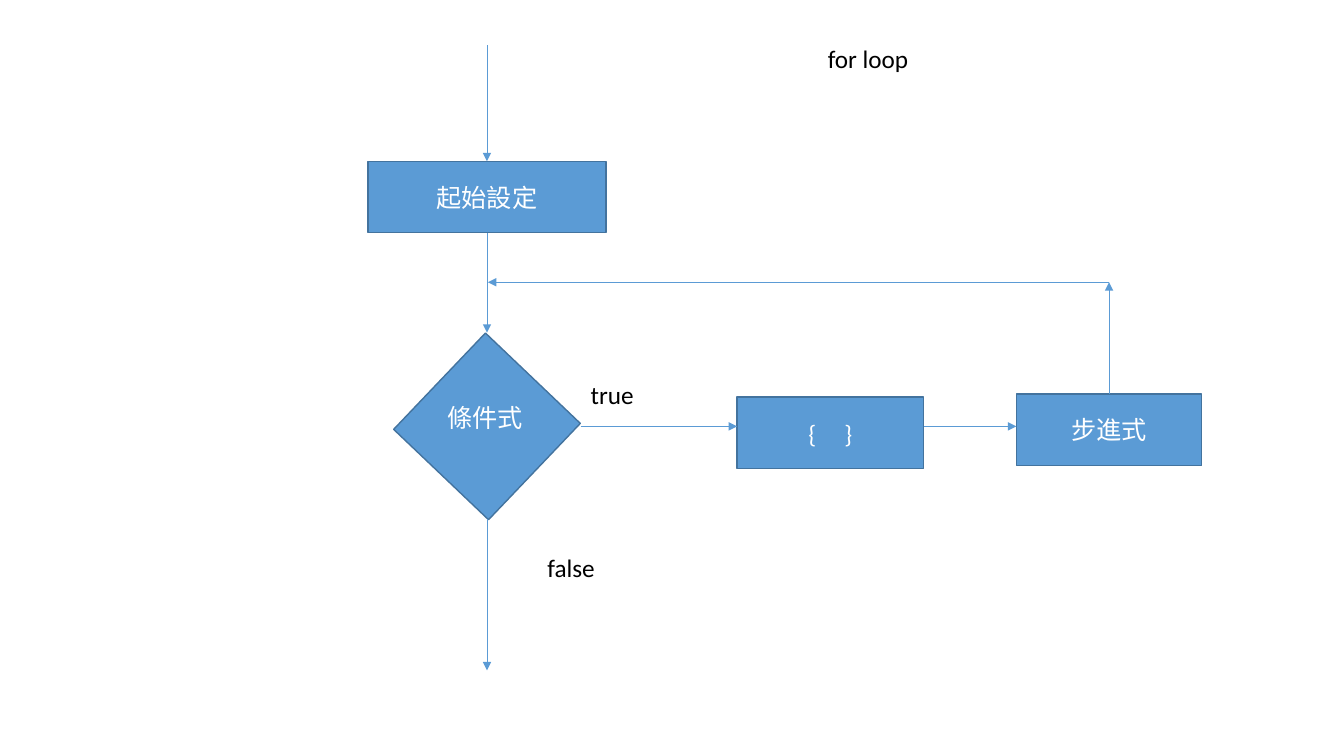
"""Builds a flowchart slide of a for loop."""
from dataclasses import dataclass
from typing import Optional

from lxml import etree
from pptx import Presentation
from pptx import util as u
from pptx.dml.color import RGBColor
from pptx.enum import shapes, text
from pptx.oxml import ns

PX = 9144
BLUE, EDGE, WHITE, BLACK = "5B9BD5", "43739E", "FFFFFF", "000000"
TOP, BOTTOM = 0, 2
TRUNK, BRANCH, RETURN = 483, 423, 280


@dataclass(frozen=True)
class Box:
    """A filled rectangle of the flowchart."""
    name: str
    left: int
    top: int
    width: int
    height: int
    runs: tuple[tuple[str, int], ...] = ()
    rotation: float = 0


@dataclass(frozen=True)
class Arrow:
    """An arrow between two points, optionally joined to boxes."""
    start: tuple[int, int]
    end: tuple[int, int]
    leaves: Optional[str] = None
    enters: Optional[str] = None


@dataclass(frozen=True)
class Label:
    """A line of free text."""
    content: str
    left: int
    top: int
    width: int
    color: str = BLACK


BOXES = (
    Box("setup", 365, 160, 236, 71, (("起始設定", 0),)),
    Box("condition", 418, 357, 130, 132, rotation=43.6),
    Box("body", 731, 394, 185, 71, (("{ ", 8), ("}", 0))),
    Box("step", 1008, 391, 184, 71, (("步進式", 0),)),
)
ARROWS = (
    Arrow((TRUNK, 45), (TRUNK, 160), enters="setup"),
    Arrow((TRUNK, 231), (TRUNK, 330), leaves="setup"),
    Arrow((TRUNK, 515), (TRUNK, 665)),
    Arrow((576, BRANCH), (731, BRANCH)),
    Arrow((916, BRANCH), (1008, BRANCH)),
    Arrow((1100, 391), (1100, RETURN), leaves="step"),
    Arrow((1100, RETURN), (484, RETURN)),
)
TITLE = Label("for loop", 811, 38, 101)
LABELS = (
    Label("true", 576, 371, 63),
    Label("false", 533, 543, 68),
    Label("條件式", 434, 394, 96, WHITE),
)


def px(length: int) -> u.Emu:
    """Turn px into EMU."""
    return u.Emu(length * PX)


def rgb(color: str) -> RGBColor:
    """Turn a hex string into a colour."""
    return RGBColor.from_string(color)


def add_text(paragraph, content: str, *, color: str = BLACK, size: int = 18,
             font: str = "Calibri", spacing: int = 0) -> None:
    """Append a formatted run, with letter spacing in points."""
    run = paragraph.add_run()
    run.text = content
    run.font.name = font
    run.font.size = u.Pt(size)
    run.font.color.rgb = rgb(color)
    if spacing:
        run._r.get_or_add_rPr().set("spc", str(spacing * 100))


def draw_box(slide, box: Box):
    """Draw a box with its centred text."""
    shape = slide.shapes.add_shape(
        shapes.MSO_SHAPE.RECTANGLE,
        px(box.left), px(box.top), px(box.width), px(box.height))
    shape.shadow.inherit = False
    shape.rotation = box.rotation
    shape.fill.solid()
    shape.fill.fore_color.rgb = rgb(BLUE)
    shape.line.color.rgb = rgb(EDGE)
    shape.line.width = u.Pt(1)
    shape.text_frame.vertical_anchor = text.MSO_ANCHOR.MIDDLE
    paragraph = shape.text_frame.paragraphs[0]
    paragraph.alignment = text.PP_ALIGN.CENTER
    for content, spacing in box.runs:
        add_text(paragraph, content, color=WHITE, spacing=spacing)
    return shape


def draw_arrow(slide, arrow: Arrow, drawn: dict) -> None:
    """Draw an arrow and join it to its boxes."""
    connector = slide.shapes.add_connector(
        shapes.MSO_CONNECTOR.STRAIGHT, *map(px, arrow.start + arrow.end))
    if arrow.leaves:
        side = BOTTOM if arrow.end[1] > arrow.start[1] else TOP
        connector.begin_connect(drawn[arrow.leaves], side)
    if arrow.enters:
        connector.end_connect(drawn[arrow.enters], TOP)
    connector.line.color.rgb = rgb(BLUE)
    connector.line.width = u.Pt(0.5)
    etree.SubElement(connector.line._get_or_add_ln(), ns.qn("a:tailEnd"), type="triangle")
    etree.SubElement(connector._element.spPr, ns.qn("a:effectLst"))


def fill_label(shape, label: Label) -> None:
    """Place a text shape and write its label."""
    shape.left, shape.top = px(label.left), px(label.top)
    shape.width, shape.height = px(label.width), px(40)
    frame = shape.text_frame
    frame.word_wrap = False
    frame.auto_size = text.MSO_AUTO_SIZE.SHAPE_TO_FIT_TEXT
    frame.vertical_anchor = text.MSO_ANCHOR.TOP
    frame.paragraphs[0].alignment = text.PP_ALIGN.LEFT
    add_text(frame.paragraphs[0], label.content, color=label.color)


def main() -> None:
    """Build and save the slide."""
    presentation = Presentation()
    presentation.slide_width, presentation.slide_height = px(1333), px(750)
    slide = presentation.slides.add_slide(presentation.slide_layouts[5])
    fill_label(slide.shapes.title, TITLE)
    drawn = {box.name: draw_box(slide, box) for box in BOXES}
    for arrow in ARROWS:
        draw_arrow(slide, arrow, drawn)
    for label in LABELS:
        fill_label(slide.shapes.add_textbox(0, 0, 0, 0), label)
    presentation.save("out.pptx")


if __name__ == "__main__":
    main()
